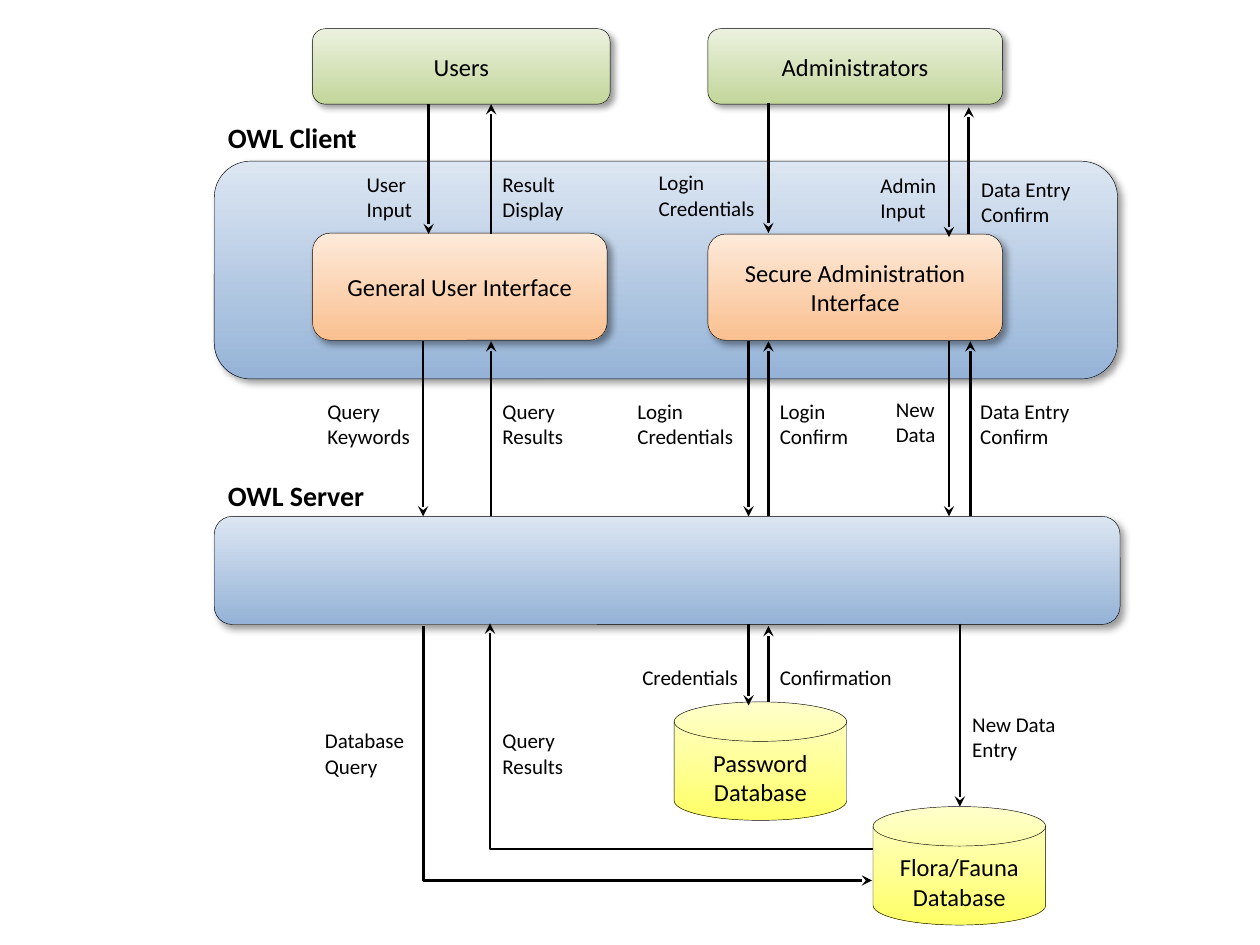
from lxml.etree import SubElement
from pptx import Presentation
from pptx.dml.color import RGBColor
from pptx.enum.shapes import MSO_CONNECTOR as LINK, MSO_SHAPE as SHAPE
from pptx.enum.text import MSO_ANCHOR as ANCHOR, PP_ALIGN as ALIGN
from pptx.oxml.ns import qn
from pptx.util import Cm, Pt

BLACK = "000000"
BLUE, ORANGE = ("DCE6F2", "95B3D7"), ("FDEADA", "FAC090")
GREEN, YELLOW = ("EBF1DE", "C3D69B"), ("FFFFCC", "FFFF66")

PANELS = [
    ("", BLUE, 4.32, 3.25, 18.21, 4.39),
    ("", BLUE, 4.32, 10.41, 18.26, 2.18),
    ("Secure Administration Interface", ORANGE, 14.27, 4.72, 5.94, 2.14),
    ("General User Interface", ORANGE, 6.3, 4.7, 5.94, 2.16),
    ("Users", GREEN, 6.3, 0.58, 6, 1.52),
    ("Administrators", GREEN, 14.27, 0.58, 5.94, 1.52),
]
DATABASES = [
    ("Flora/Fauna\nDatabase", YELLOW, 17.6, 16.26, 3.48, 2.39),
    ("Password\nDatabase", YELLOW, 13.59, 14.15, 3.48, 2.39),
]
CLIENT_BOTTOM, SERVER_TOP = 6.88, 10.41
DOWN, UP = (CLIENT_BOTTOM, SERVER_TOP), (SERVER_TOP, CLIENT_BOTTOM)
VERTICAL_ARROWS = [
    (8.64, 2.1, 4.72), (9.9, 4.72, 2.1),
    (15.49, 2.08, 4.7), (19.13, 2.1, 4.78), (19.53, 4.72, 2.16),
    (8.53, *DOWN), (9.9, *UP), (15.09, *DOWN),
    (15.49, *UP), (19.13, *DOWN), (19.56, *UP),
    (15.09, 12.57, 14.22), (15.49, 14.15, 12.62), (19.35, 12.57, 16.26),
]
ELBOW_ARROWS = [
    ((8.54, 12.62, 17.58, 17.75), 0),
    ((17.6, 17.12, 9.88, 12.57), 100000),
]
HEADINGS = [("OWL Client", 4.32, 2.31, 3.15), ("OWL Server", 4.32, 9.53, 3.3)]
LABELS = [
    ("User \nInput", 7.14, 3.33, 1.42),
    ("Result\nDisplay", 9.88, 3.33, 1.75),
    ("Login\nCredentials", 13.03, 3.3, 2.46),
    ("Admin\nInput", 17.5, 3.35, 1.65),
    ("Data Entry\nConfirm", 19.53, 3.43, 2.34),
    ("Query\nKeywords", 6.35, 7.9, 2.18),
    ("Query\nResults", 9.88, 7.9, 1.75),
    ("Login\nCredentials", 12.6, 7.9, 2.46),
    ("Login\nConfirm", 15.47, 7.9, 1.9),
    ("New\nData", 17.81, 7.87, 1.3),
    ("Data Entry\nConfirm", 19.51, 7.9, 2.34),
    ("Database\nQuery", 6.3, 14.55, 2.13),
    ("Query\nResults", 9.88, 14.55, 1.75),
    ("New Data\nEntry", 19.35, 14.22, 2.21),
    ("Credentials", 12.7, 13.28, 2.46),
    ("Confirmation", 15.47, 13.28, 2.79),
]


def color(value):
    return RGBColor.from_string(value)


def write(shape, text, size, align, bold=False, **frame_format):
    frame = shape.text_frame
    frame.text = text
    for name, value in frame_format.items():
        setattr(frame, name, value)
    for paragraph in frame.paragraphs:
        paragraph.alignment = align
        font = paragraph.font
        for name, value in {"name": "Calibri", "size": Pt(size), "bold": bold}.items():
            setattr(font, name, value)
        font.color.rgb = color(BLACK)


def add_box(slide, kind, text, gradient, bounds, anchor):
    shape = slide.shapes.add_shape(kind, *map(Cm, bounds))
    shape.fill.gradient()
    shape.fill.gradient_angle = 270
    for stop, value in zip(shape.fill.gradient_stops, gradient):
        stop.color.rgb = color(value)
    shape.line.color.rgb = color(BLACK)
    shape.line.width = Pt(0.25)
    shape.shadow.inherit = False
    if text:
        write(shape, text, 14, ALIGN.CENTER, vertical_anchor=anchor, word_wrap=True)
    return shape


def add_shadow(shape):
    effects = shape._element.spPr.find(qn("a:effectLst"))
    shadow = SubElement(effects, qn("a:outerShdw"), blurRad=str(Pt(4)),
                        dist=str(Pt(3)), dir="2700000", algn="tl", rotWithShape="0")
    shade = SubElement(shadow, qn("a:srgbClr"), val=BLACK)
    SubElement(shade, qn("a:alpha"), val="40000")


def add_arrow(slide, kind, ends):
    connector = slide.shapes.add_connector(kind, *map(Cm, ends))
    connector.line.color.rgb = color(BLACK)
    connector.line.width = Pt(1.5)
    properties = connector._element.spPr
    SubElement(properties.find(qn("a:ln")), qn("a:tailEnd"), type="stealth")
    SubElement(properties, qn("a:effectLst"))
    return connector


def add_text(slide, text, left, top, width, size, align, bold=False):
    height = 0.26 + 0.0425 * size * len(text.split("\n"))
    box = slide.shapes.add_textbox(*map(Cm, (left, top, width, height)))
    write(box, text, size, align, bold, word_wrap=False)


def main():
    """Build the OWL client and server architecture slide."""
    presentation = Presentation()
    presentation.slide_width, presentation.slide_height = Cm(25.4), Cm(19.05)
    slide = presentation.slides.add_slide(presentation.slide_layouts[6])
    for text, gradient, *bounds in PANELS:
        add_shadow(add_box(slide, SHAPE.ROUNDED_RECTANGLE, text, gradient, bounds, ANCHOR.MIDDLE))
    for text, gradient, *bounds in DATABASES:
        add_box(slide, SHAPE.FLOWCHART_MAGNETIC_DISK, text, gradient, bounds, ANCHOR.TOP)
    for x, start, end in VERTICAL_ARROWS:
        add_arrow(slide, LINK.STRAIGHT, (x, start, x, end))
    for ends, bend in ELBOW_ARROWS:
        connector = add_arrow(slide, LINK.ELBOW, ends)
        guides = connector._element.spPr.find(qn("a:prstGeom")).find(qn("a:avLst"))
        SubElement(guides, qn("a:gd"), name="adj1", fmla=f"val {bend}")
    for heading in HEADINGS:
        add_text(slide, *heading, 16, ALIGN.CENTER, bold=True)
    for label in LABELS:
        add_text(slide, *label, 12, ALIGN.LEFT)
    presentation.save("out.pptx")


main()
